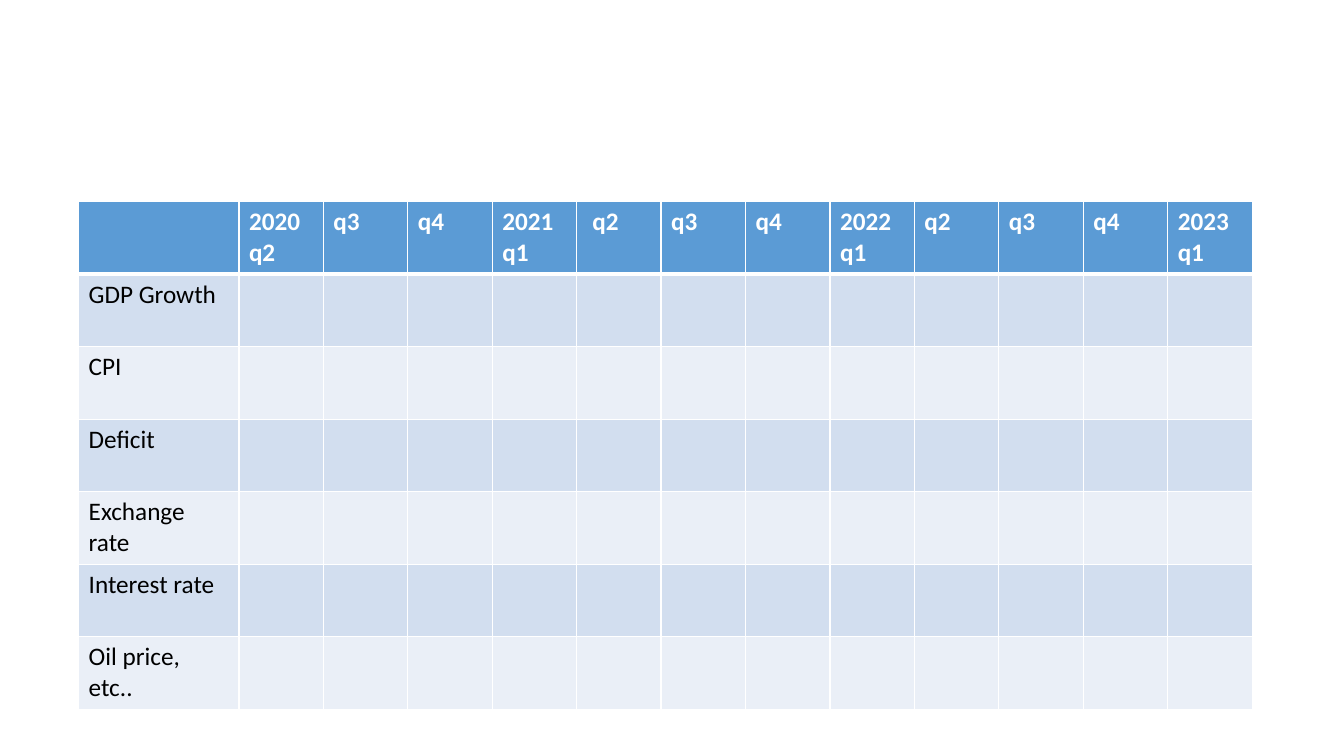
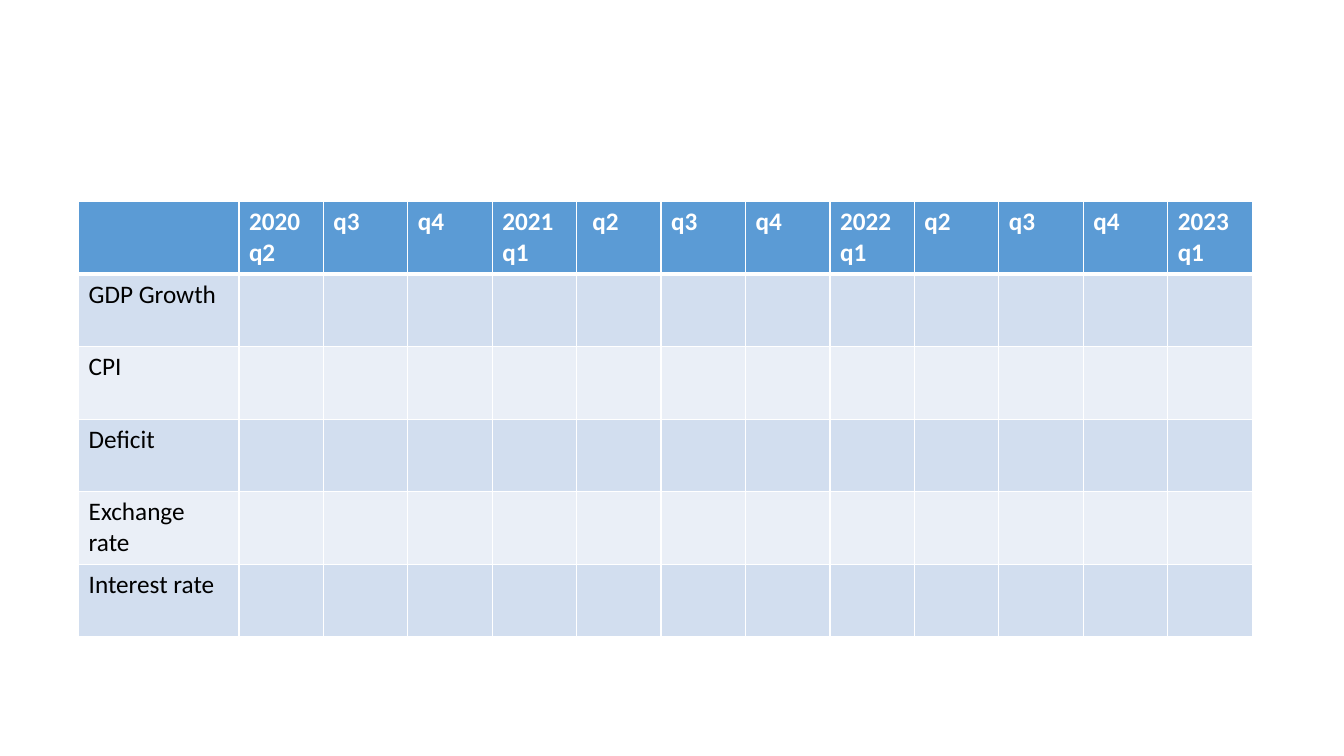
from lxml.etree import SubElement
from pptx import Presentation
from pptx.dml.color import RGBColor
from pptx.oxml.ns import qn
from pptx.util import Inches, Pt

COLORS = {
    "header": "5B9BD5",
    "band_dark": "D2DEEF",
    "band_light": "EAEFF7",
    "border": "FFFFFF",
    "header_text": "FFFFFF",
    "body_text": "000000",
}
BASE_FONT = {"name": "Calibri", "size": Pt(18)}
HEADER_FONT = {**BASE_FONT, "bold": True}
BODY_FONT = {**BASE_FONT, "bold": False}

SLIDE_WIDTH, SLIDE_HEIGHT = 13.33, 7.5
TABLE_LEFT, TABLE_TOP, TABLE_WIDTH = 0.78, 2, 11.64
LABEL_WIDTH, ROW_HEIGHT = 1.59, 0.72
THIN, THICK = 1, 3

QUARTERS = ["2020 q2", "q3", "q4", "2021q1", " q2", "q3", "q4",
            "2022 q1", "q2", "q3", "q4", "2023q1"]
INDICATORS = ["GDP Growth", "CPI", "Deficit", "Exchange rate", "Interest rate"]


def set_borders(cell, top, bottom):
    """Draw the four cell edges; they must come before the fill in the XML."""
    properties = cell._tc.get_or_add_tcPr()
    widths = {"a:lnL": THIN, "a:lnR": THIN, "a:lnT": top, "a:lnB": bottom}
    for position, (tag, width) in enumerate(widths.items()):
        line = SubElement(properties, qn(tag), w=str(Pt(width)))
        fill = SubElement(line, qn("a:solidFill"))
        SubElement(fill, qn("a:srgbClr"), val=COLORS["border"])
        properties.insert(position, line)


def format_cell(cell, text, fill, font_values, text_color):
    cell.fill.solid()
    cell.fill.fore_color.rgb = RGBColor.from_string(COLORS[fill])
    cell.text = text
    font = cell.text_frame.paragraphs[0].font
    for name, value in font_values.items():
        setattr(font, name, value)
    font.color.rgb = RGBColor.from_string(COLORS[text_color])


def add_forecast_table(slide, left, top, width, indicators):
    """Place a table with one row per indicator and one column per quarter."""
    rows = [["", *QUARTERS]] + [[name] + [""] * len(QUARTERS) for name in indicators]
    table = slide.shapes.add_table(
        len(rows), len(rows[0]), Inches(left), Inches(top),
        Inches(width), Inches(ROW_HEIGHT * len(rows))).table

    # Grid: a wide label column, then equal quarters
    quarter_width = (width - LABEL_WIDTH) / len(QUARTERS)
    for index, column in enumerate(table.columns):
        column.width = Inches(quarter_width if index else LABEL_WIDTH)
    for row in table.rows:
        row.height = Inches(ROW_HEIGHT)

    # Cells: header row, then alternating bands
    for row_index, texts in enumerate(rows):
        if row_index == 0:
            style = ("header", HEADER_FONT, "header_text")
        else:
            band = "band_dark" if row_index % 2 else "band_light"
            style = (band, BODY_FONT, "body_text")
        for column_index, text in enumerate(texts):
            cell = table.cell(row_index, column_index)
            format_cell(cell, text, *style)
            set_borders(cell, top=THICK if row_index == 1 else THIN,
                        bottom=THICK if row_index == 0 else THIN)


def add_table_slide(presentation, indicators):
    slide = presentation.slides.add_slide(presentation.slide_layouts[6])
    add_forecast_table(slide, TABLE_LEFT, TABLE_TOP, TABLE_WIDTH, indicators)


def main():
    presentation = Presentation()
    presentation.slide_width = Inches(SLIDE_WIDTH)
    presentation.slide_height = Inches(SLIDE_HEIGHT)
    add_table_slide(presentation, INDICATORS + ["Oil price, etc.."])
    add_table_slide(presentation, INDICATORS)
    presentation.save("out.pptx")


if __name__ == "__main__":
    main()
